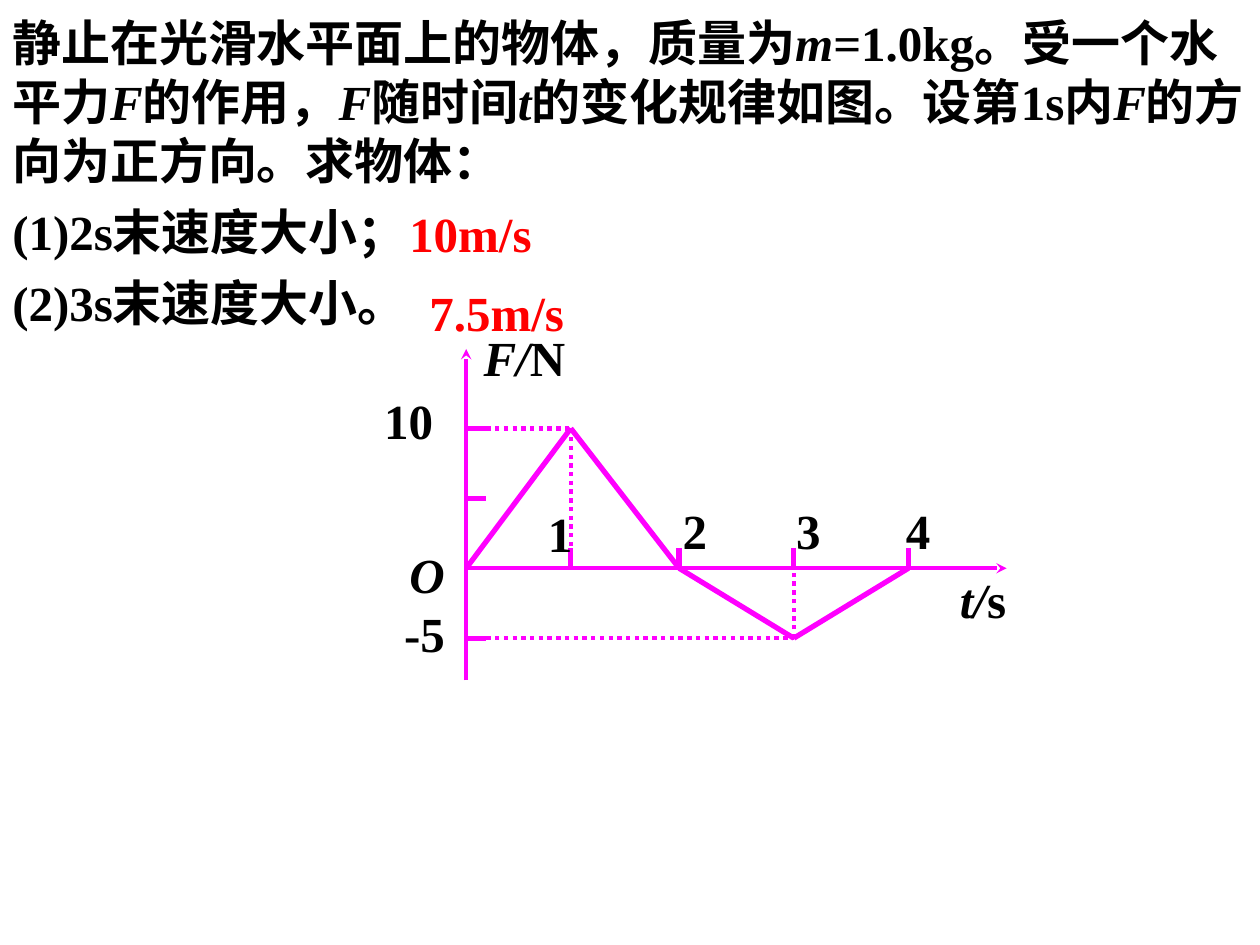
from lxml import etree
from pptx import Presentation, util as u
from pptx.dml.color import RGBColor
from pptx.enum import dml, shapes, text
from pptx.oxml.ns import qn

COLORS = {"ink": "000000", "answer": "FF0000", "graph": "FF00FF"}
FONT, SIZE = "Times New Roman", 28

# Each paragraph is a list of (text, italic) spans.
PROBLEM = [
    [("静止在光滑水平面上的物体，质量为", False), ("m", True),
     ("=1.0kg。受一个水平力", False), ("F", True), ("的作用，", False),
     ("F", True), ("随时间", False), ("t", True),
     ("的变化规律如图。设第1s内", False), ("F", True),
     ("的方向为正方向。求物体：", False)],
    [("(1)2s末速度大小；", False)],
    [("(2)3s末速度大小。", False)],
]
ANSWERS = [("10m/s", 3.15, 1.47), ("7.5m/s", 3.31, 2.1)]
# Spans, left, top, width
LABELS = [
    ([("t/", True), ("s", False)], 7.52, 4.47, 0.94),
    ([("F/", True), ("N", False)], 3.74, 2.55, 0.94),
    ([("O", True)], 3.15, 4.27, 0.94),
    ([("-5", False)], 3.11, 4.74, 0.94),
    ([("10", False)], 2.95, 3.05, 0.94),
    ([("1", False)], 4.25, 3.95, 0.47),
    ([("2", False)], 5.32, 3.92, 0.47),
    ([("3", False)], 6.22, 3.92, 0.71),
    ([("4", False)], 7.09, 3.92, 0.71),
]
FORCES = [0, 10, 0, -5, 0]              # newtons at 0, 1, 2, 3, 4 s
FORCE_TICKS = [10, 5, -5]
TIME_X = [3.7, 4.53, 5.39, 6.3, 7.21]   # inches at 0, 1, 2, 3, 4 s
ORIGIN_X, ORIGIN_Y = TIME_X[0], 4.51
INCHES_PER_NEWTON = 0.111
TICK = 0.16


def force_y(force):
    return ORIGIN_Y - force * INCHES_PER_NEWTON


def add_text(page, paragraphs, left, top, width, height, color="ink",
             gap=0, spacing=None, anchor=text.MSO_ANCHOR.TOP):
    box = page.shapes.add_textbox(*map(u.Inches, (left, top, width, height)))
    frame = box.text_frame
    frame.word_wrap = True
    frame.vertical_anchor = anchor
    for index, spans in enumerate(paragraphs):
        para = frame.add_paragraph() if index else frame.paragraphs[0]
        if index:
            para.space_before = u.Pt(gap)
        if spacing:
            para.line_spacing = spacing
        para.font.name, para.font.size, para.font.bold = FONT, u.Pt(SIZE), True
        para.font.color.rgb = RGBColor.from_string(COLORS[color])
        for words, italic in spans:
            span = para.add_run()
            span.text = words
            if italic:
                span.font.italic = True


def add_line(page, start, end, width=3, dotted=False, arrow=False):
    line = page.shapes.add_connector(
        shapes.MSO_CONNECTOR.STRAIGHT, *map(u.Inches, (*start, *end)))
    line.line.color.rgb = RGBColor.from_string(COLORS["graph"])
    line.line.width = u.Pt(width)
    if dotted:
        line.line.dash_style = dml.MSO_LINE.ROUND_DOT
    if arrow:
        etree.SubElement(line.line._get_or_add_ln(), qn("a:tailEnd"),
                         type="stealth")
    etree.SubElement(line._element.spPr, qn("a:effectLst"))


def draw_graph(page):
    add_line(page, (ORIGIN_X, ORIGIN_Y), (7.99, ORIGIN_Y), 2, arrow=True)
    add_line(page, (ORIGIN_X, 5.4), (ORIGIN_X, 2.77), 2, arrow=True)
    for force in FORCE_TICKS:
        y = force_y(force)
        add_line(page, (ORIGIN_X, y), (ORIGIN_X + TICK, y))
    for x in TIME_X[1:]:
        add_line(page, (x, ORIGIN_Y), (x, ORIGIN_Y - TICK))

    points = [(x, force_y(force)) for x, force in zip(TIME_X, FORCES)]
    for (x, y), force in zip(points, FORCES):
        if force:
            add_line(page, (ORIGIN_X + TICK, y), (x, y), 2.5, dotted=True)
            add_line(page, (x, y), (x, ORIGIN_Y), 2.5, dotted=True)
    for start, end in zip(points, points[1:]):
        add_line(page, start, end)


def main():
    deck = Presentation()
    deck.slide_width, deck.slide_height = u.Inches(10), u.Inches(7.5)
    page = deck.slides.add_slide(deck.slide_layouts[6])
    add_text(page, PROBLEM, 0, 0.05, 10, 2.63, gap=7)
    draw_graph(page)
    for spans, left, top, width in LABELS:
        add_text(page, [spans], left, top, width, 0.57)
    for words, left, top in ANSWERS:
        add_text(page, [[(words, False)]], left, top, 1.46, 0.66, "answer",
                 spacing=1.2, anchor=text.MSO_ANCHOR.MIDDLE)
    deck.save("out.pptx")


if __name__ == "__main__":
    main()
